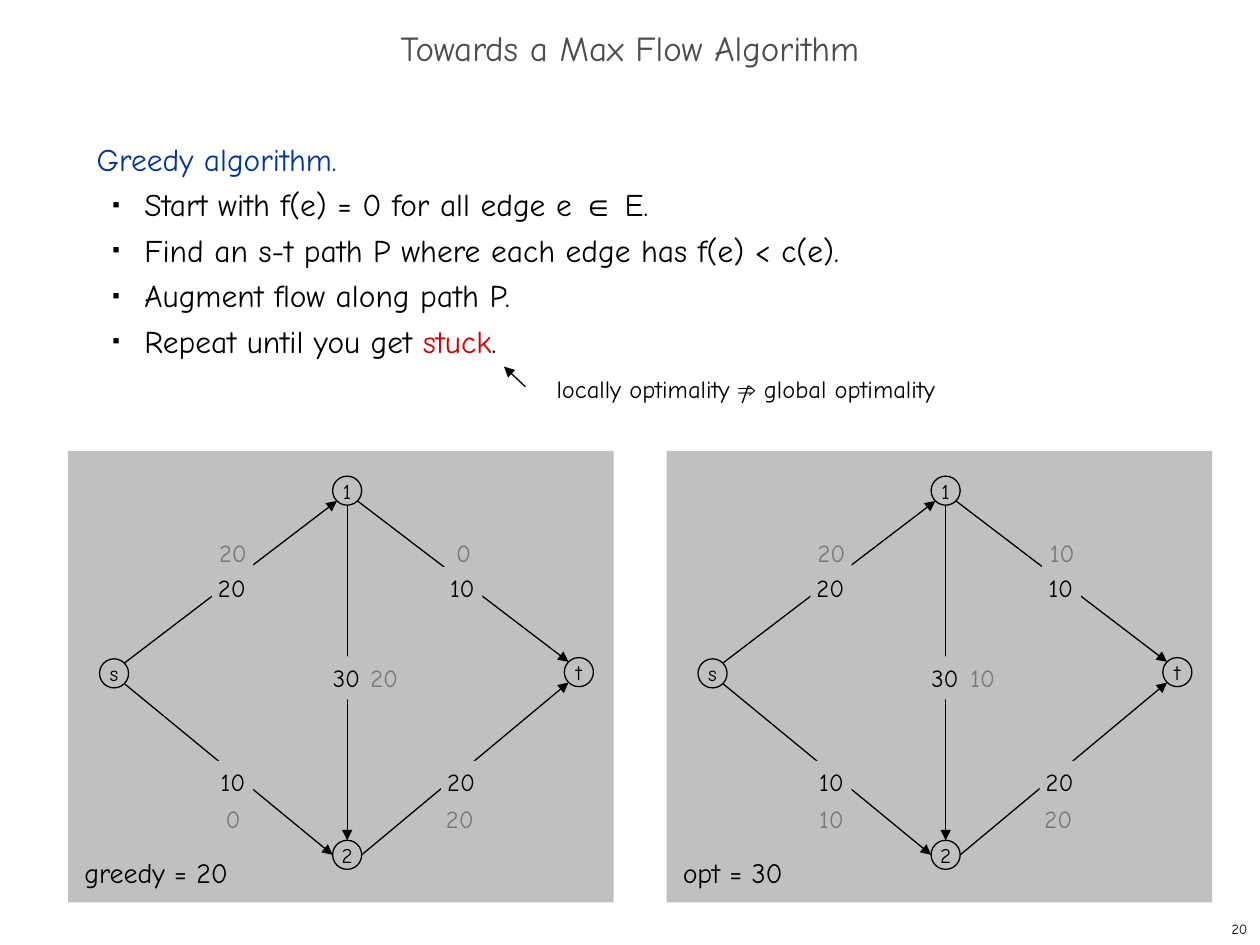
"""Build the slide on the greedy approach to maximum flow."""
import pptx
import pptx.util
import pptx.dml.color
import pptx.enum.text
import pptx.enum.shapes
import pptx.oxml
import pptx.oxml.ns

Pt = pptx.util.Pt
Align = pptx.enum.text.PP_ALIGN
Anchor = pptx.enum.text.MSO_ANCHOR
Auto = pptx.enum.text.MSO_AUTO_SIZE
Kind = pptx.enum.shapes.MSO_SHAPE

FONT = "Comic Neue"
HUES = {"ink": "000000", "title": "4D4D4D", "head": "003399",
        "alert": "CC0000", "panel": "C0C0C0", "flow": "777777"}

TITLE = "Towards a Max Flow Algorithm"
BODY = [
    [("Greedy algorithm.", "head", FONT)],
    [("Start with f(e) = 0 for all edge e ", "ink", FONT),
     ("∈", "ink", "Arial"), (" E.", "ink", FONT)],
    [("Find an s-t path P where each edge has f(e) < c(e).", "ink", FONT)],
    [("Augment flow along path P.", "ink", FONT)],
    [("Repeat until you get ", "ink", FONT), ("stuck", "alert", FONT),
     (".", "ink", FONT)],
]
NOTE = [("locally optimality ", "ink", FONT), ("⇒", "ink", "Arial"),
        (" global optimality", "ink", FONT)]
PAGE = "20"

PANELS = [("greedy = 20", ["20", "0", "0", "20", "20"]),
          ("opt = 30", ["20", "10", "10", "10", "20"])]
CAPS = ["20", "10", "10", "30", "20"]
CAP_AT = [(132.5, 336.2), (264.2, 336.2), (133.2, 447.1),
          (198, 387.4), (263.5, 447.1)]
FLOW_AT = [(133.2, 316.1), (265, 316.1), (133.2, 468),
           (219.6, 387.4), (262.8, 468)]
NODES = {"s": (65.2, 384.8), "1": (198.4, 280.4),
         "2": (198.4, 488.5), "t": (330.8, 384.1)}
EDGES = [("s", "ne", "1", "sw"), ("s", "se", "2", "w"),
         ("2", "e", "t", "sw"), ("1", "s", "2", "n"),
         ("1", "se", "t", "nw")]
RAD = 8.3
DIAG = 0.71
PORTS = {"n": (0, -1), "s": (0, 1), "e": (1, 0), "w": (-1, 0),
         "ne": (DIAG, -DIAG), "nw": (-DIAG, -DIAG),
         "se": (DIAG, DIAG), "sw": (-DIAG, DIAG)}
PITCH = 342


def color(name):
    return pptx.dml.color.RGBColor.from_string(HUES[name])


def paint(shape, name):
    shape.fill.solid()
    shape.fill.fore_color.rgb = color(name)


def style(run, size, hue, face=FONT):
    run.font.size = Pt(size)
    run.font.name = face
    run.font.color.rgb = color(hue)


def add_runs(para, parts, size):
    for words, hue, face in parts:
        run = para.add_run()
        run.text = words
        style(run, size, hue, face)


def set_frame(shape, wrap, anchor=Anchor.TOP, pad=(7.2, 3.6)):
    frame = shape.text_frame
    frame.word_wrap = wrap
    frame.auto_size = Auto.NONE
    frame.vertical_anchor = anchor
    frame.margin_left = frame.margin_right = Pt(pad[0])
    frame.margin_top = frame.margin_bottom = Pt(pad[1])
    return frame


def write(frame, words, size, hue, align=Align.LEFT):
    frame.text = words
    para = frame.paragraphs[0]
    para.alignment = align
    style(para.runs[0], size, hue)
    return para


def place(shape, *box):
    shape.left, shape.top, shape.width, shape.height = map(Pt, box)


def add_box(slide, *box):
    return slide.shapes.add_textbox(*map(Pt, box))


def add_form(slide, kind, *box):
    shape = slide.shapes.add_shape(kind, *map(Pt, box))
    shape.shadow.inherit = False
    paint(shape, "panel")
    return shape


def add_line(slide, start, end, arrow=True):
    kind = pptx.enum.shapes.MSO_CONNECTOR.STRAIGHT
    line = slide.shapes.add_connector(kind, *map(Pt, (*start, *end)))
    line.line.color.rgb = color("ink")
    line.line.width = Pt(0.75)
    props = line._element.spPr
    if arrow:
        tail = pptx.oxml.parse_xml(
            f'<a:tailEnd {pptx.oxml.ns.nsdecls("a")} type="triangle"/>')
        line.line._get_or_add_ln().append(tail)
    props.append(pptx.oxml.parse_xml(
        f'<a:effectLst {pptx.oxml.ns.nsdecls("a")}/>'))


def set_bullet(para, level):
    props = para._p.get_or_add_pPr()
    props.set("marL", str(Pt(27.36) if level else 0))
    props.set("indent", str(Pt(-18) if level else 0))
    marks = ['buClr><a:srgbClr val="000000"/></a:buClr',
             'buSzPct val="35000"/', 'buChar char="■"/'] if level else ["buNone/"]
    for mark in marks:
        tag, gap, rest = mark.partition(">")
        space = pptx.oxml.ns.nsdecls("a")
        name, blank, more = tag.partition(" ")
        bare = name.rstrip("/")
        end = "/" if tag.endswith("/") else ""
        more = more.rstrip("/")
        props.append(pptx.oxml.parse_xml(
            f"<a:{bare} {space} {more}{end}>{rest}{'>' if gap else ''}"))


def add_label(slide, words, spot, hue, filled=True):
    wide = 23 if len(words) > 1 else 16
    box = add_box(slide, spot[0] - wide / 2, spot[1] - 12.25, wide, 24.5)
    if filled:
        paint(box, "panel")
    write(set_frame(box, False, pad=(3.6, 3.6)), words, 14, hue, Align.CENTER)


def add_panel(slide, shift, name, flows):
    back = add_form(slide, Kind.RECTANGLE, 38.9 + shift, 257.8, 311.8, 257.8)
    back.line.fill.background()
    box = add_box(slide, 37.4 + shift, 481.7, 131.8, 33.8)
    write(set_frame(box, False, pad=(10.8, 7.2)), name, 16, "ink")
    for node, (x, y) in NODES.items():
        disc = add_form(slide, Kind.OVAL, x - RAD + shift, y - RAD,
                        2 * RAD, 2 * RAD)
        disc.line.color.rgb = color("ink")
        disc.line.width = Pt(0.75)
        write(set_frame(disc, False, Anchor.MIDDLE), node, 12, "ink",
              Align.CENTER)

    def port(node, side):
        x, y = NODES[node]
        dx, dy = PORTS[side]
        return x + RAD * dx + shift, y + RAD * dy

    for tail, out, head, into in EDGES:
        add_line(slide, port(tail, out), port(head, into))
    for words, (x, y) in zip(CAPS, CAP_AT):
        add_label(slide, words, (x + shift, y), "ink")
    for rank, (words, (x, y)) in enumerate(zip(flows, FLOW_AT), 1):
        add_label(slide, words, (x + shift, y), "flow", rank < len(flows))


def main():
    deck = pptx.Presentation()
    deck.slide_width, deck.slide_height = Pt(720), Pt(540)
    slide = deck.slides.add_slide(deck.slide_layouts[1])
    title, body = slide.placeholders

    place(title, 0, 12, 720, 36)
    para = write(set_frame(title, True, Anchor.MIDDLE), TITLE, 20, "title",
                 Align.CENTER)
    para.line_spacing = 0.7

    place(body, 48, 72, 618, 426)
    frame = set_frame(body, True)
    for rank, parts in enumerate(BODY):
        para = frame.add_paragraph() if rank else frame.paragraphs[0]
        para.level = min(rank, 1)
        para.line_spacing = Pt(26)
        para.space_before = Pt(0)
        set_bullet(para, para.level)
        add_runs(para, parts, 18)

    for rank, (name, flows) in enumerate(PANELS):
        add_panel(slide, rank * PITCH, name, flows)

    note = set_frame(add_box(slide, 311, 210.2, 231.8, 23.8), False)
    add_runs(note.paragraphs[0], NOTE, 14)
    add_line(slide, (300.2, 221), (288, 209.5))
    add_line(slide, (427.7, 220.3), (424.1, 230.4), False)

    page = add_box(slide, 570, 522, 150, 18)
    write(set_frame(page, True, Anchor.MIDDLE), PAGE, 8, "ink", Align.RIGHT)
    deck.save("out.pptx")


if __name__ == "__main__":
    main()
